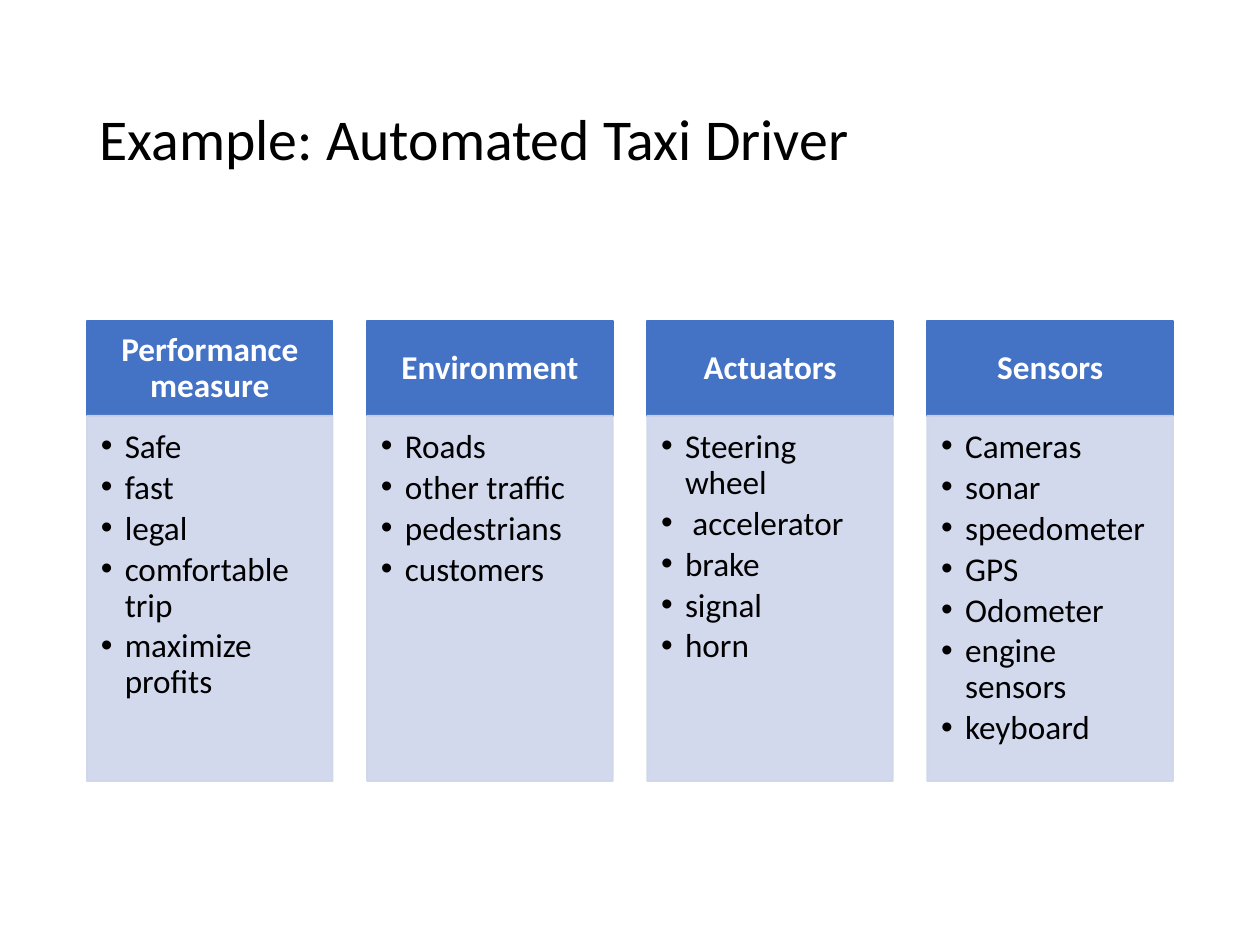
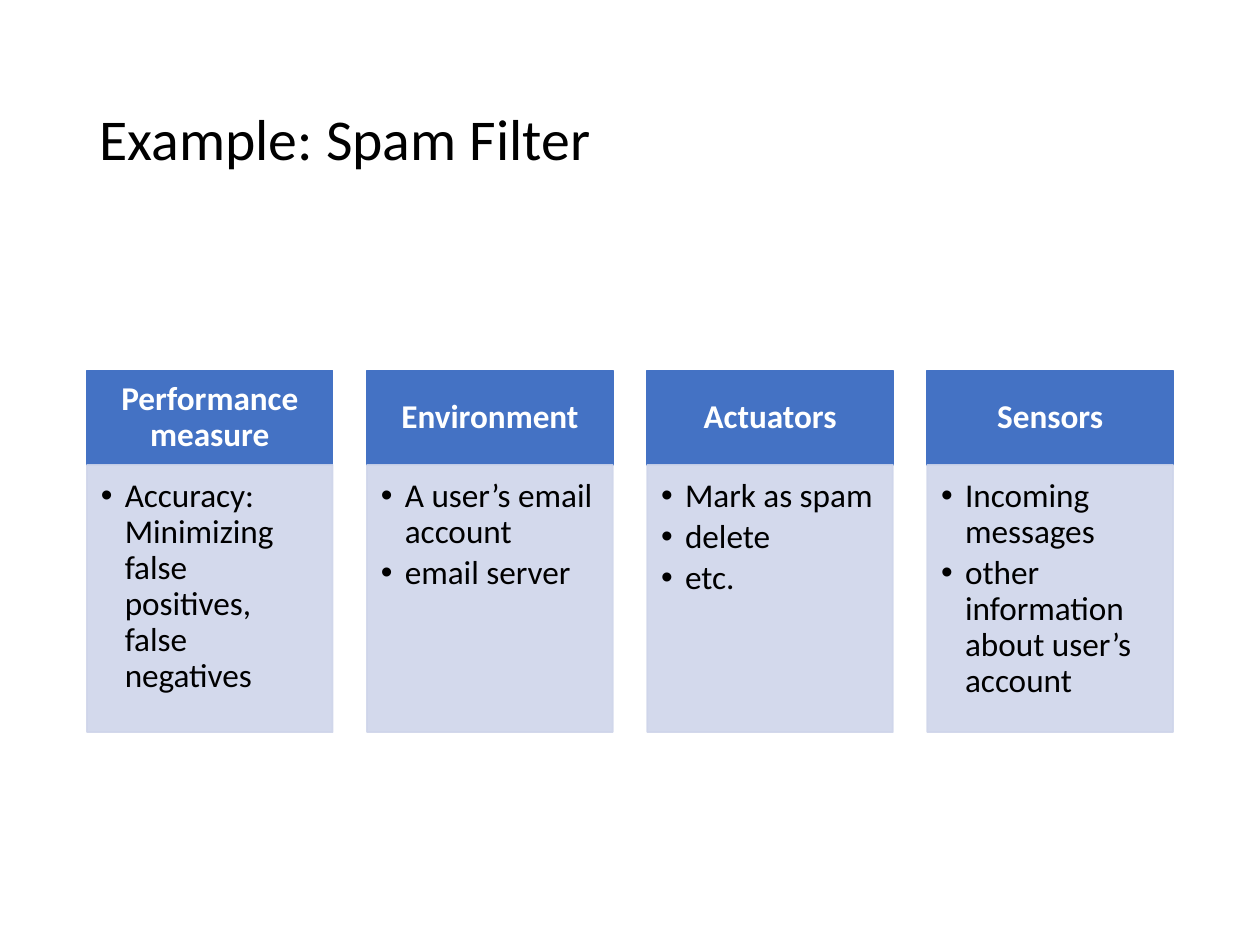
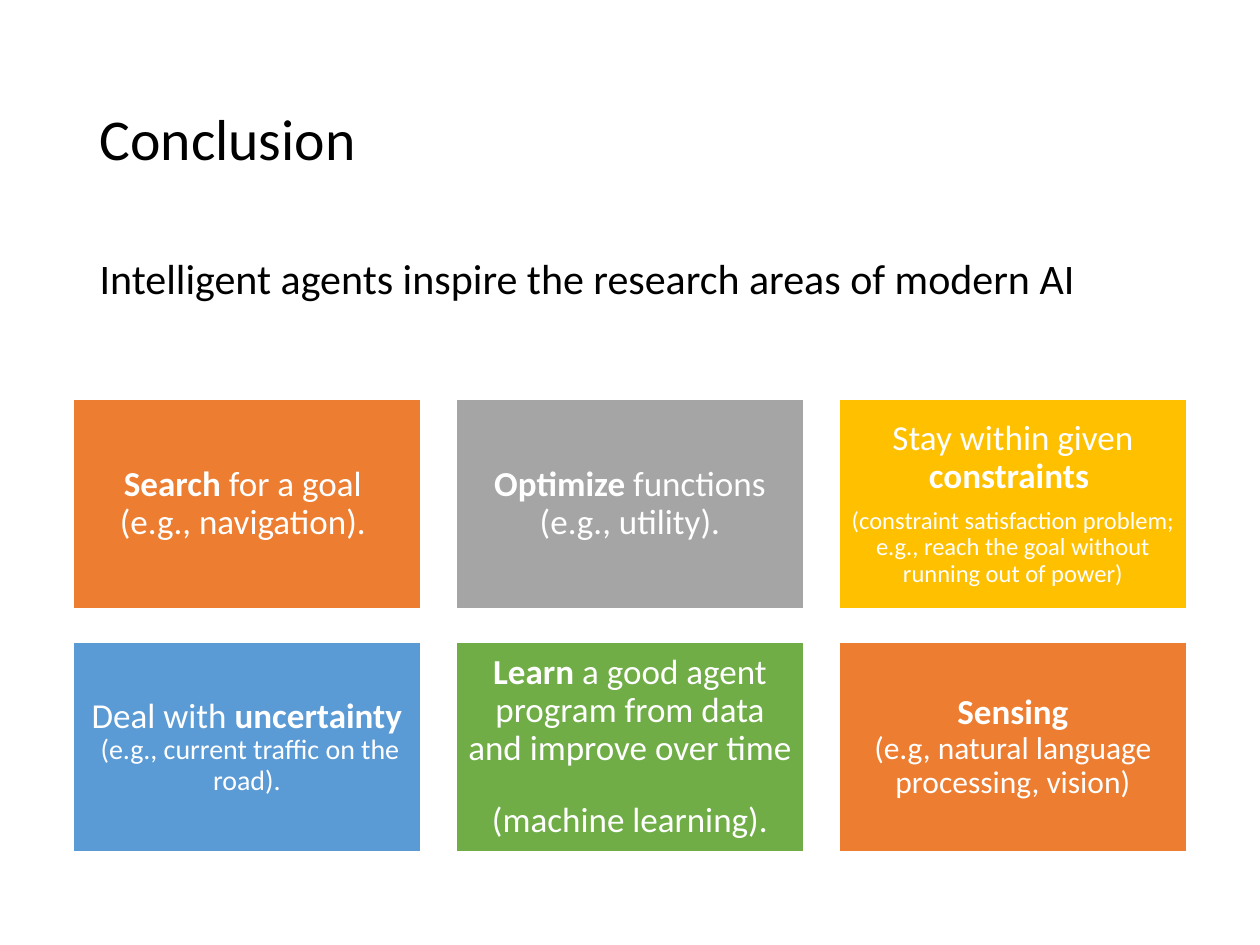
from pptx import Presentation, util as u
from pptx.dml.color import RGBColor
from pptx.enum import shapes, text
from pptx.oxml.ns import qn
from lxml import etree

BLACK = RGBColor(0x00, 0x00, 0x00)
WHITE = RGBColor(0xFF, 0xFF, 0xFF)
BLUE = RGBColor(0x44, 0x72, 0xC4)
PALE = RGBColor(0xCF, 0xD5, 0xEA)
ORANGE = RGBColor(0xED, 0x7D, 0x31)
GRAY = RGBColor(0xA5, 0xA5, 0xA5)
GOLD = RGBColor(0xFF, 0xC0, 0x00)
SKY = RGBColor(0x5B, 0x9B, 0xD5)
GREEN = RGBColor(0x70, 0xAD, 0x47)
FONT = "Calibri"

LEFT, WIDE = 0.69, 8.62
SIDES = ("margin_left", "margin_top", "margin_right", "margin_bottom")
MID, TOP = text.MSO_ANCHOR.MIDDLE, text.MSO_ANCHOR.TOP


def add_box(slide, at, fill, line, pads, anchor):
    """Add a flat rectangle and return it."""
    box = slide.shapes.add_shape(shapes.MSO_SHAPE.RECTANGLE, *map(u.Inches, at))
    box.shadow.inherit = False
    box.fill.solid()
    box.fill.fore_color.rgb = fill
    box.line.color.rgb = line
    box.line.width = u.Pt(1)
    frame = box.text_frame
    frame.word_wrap = True
    frame.vertical_anchor = anchor
    for side, pad in zip(SIDES, pads):
        setattr(frame, side, u.Inches(pad))
    return box


def add_par(frame, runs, color, align=text.PP_ALIGN.LEFT, before=0, after=0):
    """Write (text, size, bold) runs into the next paragraph; \\n breaks a line."""
    par = frame.paragraphs[0]
    if par.runs:
        par = frame.add_paragraph()
    style = {"alignment": align, "line_spacing": 0.9,
             "space_before": u.Pt(before), "space_after": u.Pt(after)}
    for key, val in style.items():
        setattr(par, key, val)
    for words, size, bold in runs:
        for num, part in enumerate(words.split("\n")):
            if num:
                par.add_line_break()
            if part:
                run = par.add_run()
                run.text = part
                look = {"name": FONT, "size": u.Pt(size), "bold": bold}
                for key, val in look.items():
                    setattr(run.font, key, val)
                run.font.color.rgb = color
    return par


deck = Presentation()
deck.slide_width, deck.slide_height = u.Inches(10), u.Inches(7.5)

# Titles on every slide
pages = []
for name, kind in (("Example: Automated Taxi Driver", 5),
                   ("Example: Spam Filter", 5), ("Conclusion", 1)):
    slide = deck.slides.add_slide(deck.slide_layouts[kind])
    title = slide.shapes.title
    title.left, title.top, title.width, title.height = map(
        u.Inches, (LEFT, 0.4, WIDE, 1.45))
    title.text_frame.auto_size = text.MSO_AUTO_SIZE.NONE
    title.text_frame.vertical_anchor = MID
    add_par(title.text_frame, [(name, 33, False)], BLACK)
    pages.append(slide)
taxi, spam, end = pages

# Agent tables: four columns, each a head over a list
HEADS = ("Performance measure", "Environment", "Actuators", "Sensors")
COL, HEAD = 1.95, 0.75
STEP = (WIDE - COL) / (len(HEADS) - 1)
agents = (
    (taxi, 2.55, 2.9, (
        ("Safe", "fast", "legal", "comfortable trip", "maximize profits"),
        ("Roads", "other traffic", "pedestrians", "customers"),
        ("Steering wheel", " accelerator", "brake", "signal", "horn"),
        ("Cameras", "sonar", "speedometer", "GPS", "Odometer",
         "engine sensors", "keyboard"))),
    (spam, 2.94, 2.12, (
        ("Accuracy: Minimizing false positives, false negatives",),
        ("A user’s email account", "email server"),
        ("Mark as spam", "delete", "etc."),
        ("Incoming messages", "other information about user’s account"))),
)
for slide, top, tall, lists in agents:
    for col, (head, items) in enumerate(zip(HEADS, lists)):
        left = LEFT + col * STEP
        cap = add_box(slide, (left, top, COL, HEAD), BLUE, BLUE,
                      (0.15, 0.08, 0.15, 0.08), MID)
        add_par(cap.text_frame, [(head, 19, True)], WHITE,
                text.PP_ALIGN.CENTER, after=6.65)
        body = add_box(slide, (left, top + HEAD, COL, tall), PALE, PALE,
                       (0.11, 0.11, 0.15, 0.17), TOP)
        # Slight transparency of fill and line
        for color in body._element.spPr.iter(qn("a:srgbClr")):
            etree.SubElement(color, qn("a:alpha"), val="90000")
        for item in items:
            par = add_par(body.text_frame, [(item, 19, False)], BLACK, after=2.85)
            props = par._p.get_or_add_pPr()
            props.set("marL", str(u.Inches(0.19)))
            props.set("indent", str(u.Inches(-0.19)))
            etree.SubElement(props, qn("a:buFont"), typeface="Arial")
            etree.SubElement(props, qn("a:buChar"), char="•")

# Conclusion: lead sentence
lead = end.placeholders[1]
lead.left, lead.top, lead.width, lead.height = map(
    u.Inches, (LEFT, 2, WIDE, 4.76))
lead.text_frame.auto_size = text.MSO_AUTO_SIZE.NONE
par = add_par(lead.text_frame, [
    ("Intelligent agents inspire the research areas of modern AI", 24, False)],
    BLACK, before=7.5)
props = par._p.get_or_add_pPr()
props.set("marL", "0")
props.set("indent", "0")
etree.SubElement(props, qn("a:buNone"))

# Conclusion: research areas in a grid of three columns
areas = (
    (ORANGE, [[("Search", 20, True),
               (" for a goal \n(e.g., navigation). ", 20, False)]]),
    (GRAY, [[("Optimize", 20, True), (" functions\n(e.g., utility).", 20, False)]]),
    (GOLD, [[("Stay within given ", 20, False), ("constraints ", 20, True)],
            [("(constraint satisfaction problem; e.g., reach the goal "
              "without running out of power)", 14, False)]]),
    (SKY, [[("Deal with ", 20, False), ("uncertainty\n", 20, True),
            (" (e.g., current traffic on the road).", 16, False)]]),
    (GREEN, [[("Learn", 20, True),
              (" a good agent program from data and improve over time \n"
               "(machine learning).", 20, False)]]),
    (ORANGE, [[("Sensing\n", 20, True),
               ("(e.g, natural language processing, vision)", 18, False)]]),
)
for num, (fill, pars) in enumerate(areas):
    row, col = divmod(num, 3)
    tile = add_box(end, (0.58 + col * 3.04, 3.17 + row * 1.93, 2.76, 1.66),
                   fill, WHITE, (0.08,) * 4, MID)
    for runs in pars:
        add_par(tile.text_frame, runs, WHITE, text.PP_ALIGN.CENTER, after=7)

deck.save("out.pptx")
